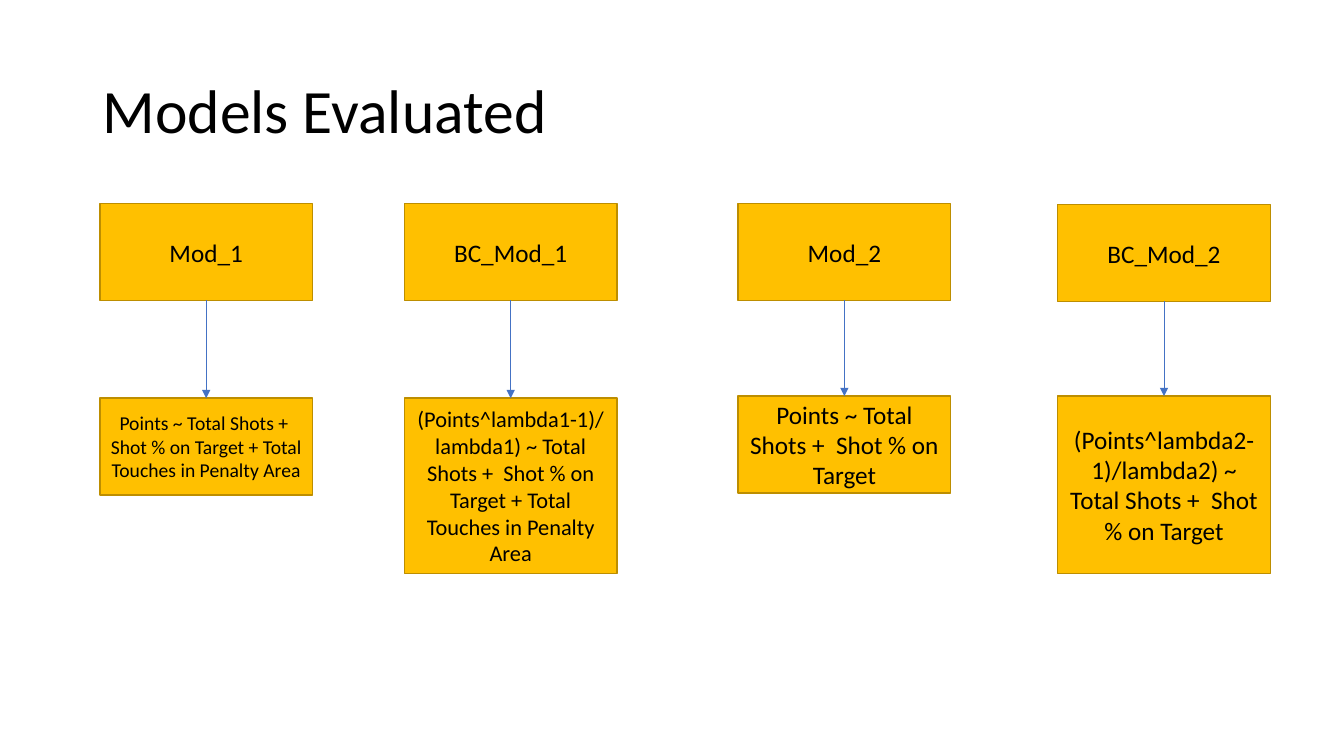
import pptx
import pptx.util
import pptx.oxml.ns
import pptx.dml.color
import pptx.enum.shapes
import pptx.enum.text
from lxml import etree

PX = 9144  # EMU per px, 100 px to the inch
FONT = "Calibri"
COLORS = {"text": "000000", "box": "FFC000", "border": "BD8E00", "arrow": "4472C4"}

BOX_W, BOX_H = 211, 96
# left, name top, name, formula top, formula height, formula size, formula
MODELS = [
    (99, 202, "Mod_1", 395, BOX_H, 14,
     "Points ~ Total Shots +  Shot % on Target + Total Touches in Penalty Area"),
    (401, 202, "BC_Mod_1", 395, 174, 16,
     "(Points^lambda1-1)/lambda1) ~ Total Shots +  Shot % on Target"
     " + Total Touches in Penalty Area"),
    (732, 202, "Mod_2", 393, BOX_H, 18,
     "Points ~ Total Shots +  Shot % on Target"),
    (1049, 203, "BC_Mod_2", 393, 176, 18,
     "(Points^lambda2-1)/lambda2) ~ Total Shots +  Shot % on Target"),
]


def px(*lengths):
    return [pptx.util.Emu(n * PX) for n in lengths]


def rgb(name):
    return pptx.dml.color.RGBColor.from_string(COLORS[name])


def write(sp, text, size, align):
    tf = sp.text_frame
    tf.word_wrap = True
    tf.vertical_anchor = pptx.enum.text.MSO_ANCHOR.MIDDLE
    p = tf.paragraphs[0]
    p.alignment = align
    r = p.add_run()
    r.text = text
    r.font.name = FONT
    r.font.size = pptx.util.Pt(size)
    r.font.color.rgb = rgb("text")
    return p


def add_title(s, text):
    sp = s.shapes.add_textbox(*px(92, 40, 1150, 145))
    p = write(sp, text, 44, pptx.enum.text.PP_ALIGN.LEFT)
    p.line_spacing = 0.9


def add_box(s, left, top, height, text, size):
    sp = s.shapes.add_shape(pptx.enum.shapes.MSO_SHAPE.RECTANGLE,
                            *px(left, top, BOX_W, height))
    sp.shadow.inherit = False
    sp.fill.solid()
    sp.fill.fore_color.rgb = rgb("box")
    sp.line.color.rgb = rgb("border")
    sp.line.width = pptx.util.Pt(1)
    write(sp, text, size, pptx.enum.text.PP_ALIGN.CENTER)
    return sp


def add_arrow(s, upper, lower):
    line = s.shapes.add_connector(pptx.enum.shapes.MSO_CONNECTOR.STRAIGHT, 0, 0, 0, 0)
    line.begin_connect(upper, 2)
    line.end_connect(lower, 0)
    line.line.color.rgb = rgb("arrow")
    line.line.width = pptx.util.Pt(0.5)
    qn = pptx.oxml.ns.qn
    sp_pr = line._element.spPr
    etree.SubElement(sp_pr.find(qn("a:ln")), qn("a:tailEnd"), type="triangle")
    etree.SubElement(sp_pr, qn("a:effectLst"))


def main():
    prs = pptx.Presentation()
    prs.slide_width, prs.slide_height = px(1333, 750)
    s = prs.slides.add_slide(prs.slide_layouts[6])

    # Heading
    add_title(s, "Models Evaluated")

    # One column per model: name, arrow, formula
    for left, name_top, name, top, height, size, formula in MODELS:
        upper = add_box(s, left, name_top, BOX_H, name, 18)
        lower = add_box(s, left, top, height, formula, size)
        add_arrow(s, upper, lower)

    prs.save("out.pptx")


if __name__ == "__main__":
    main()
